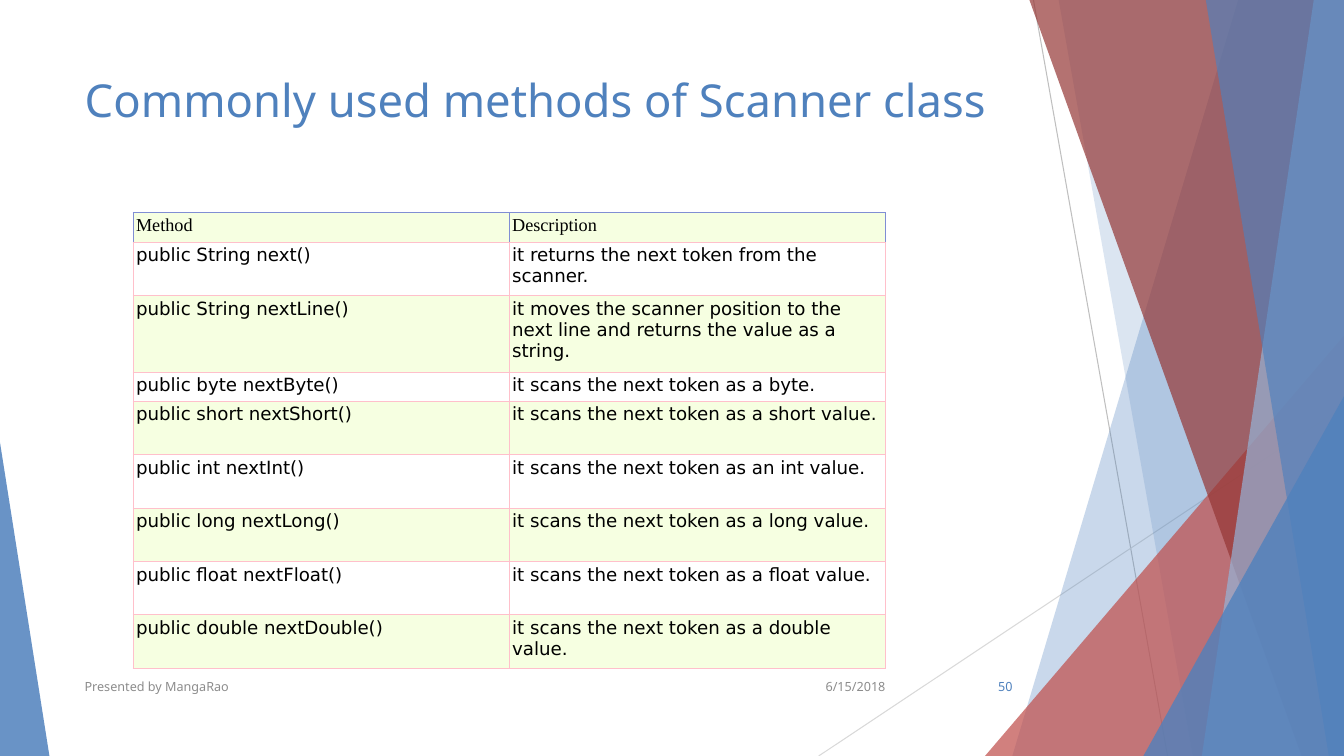
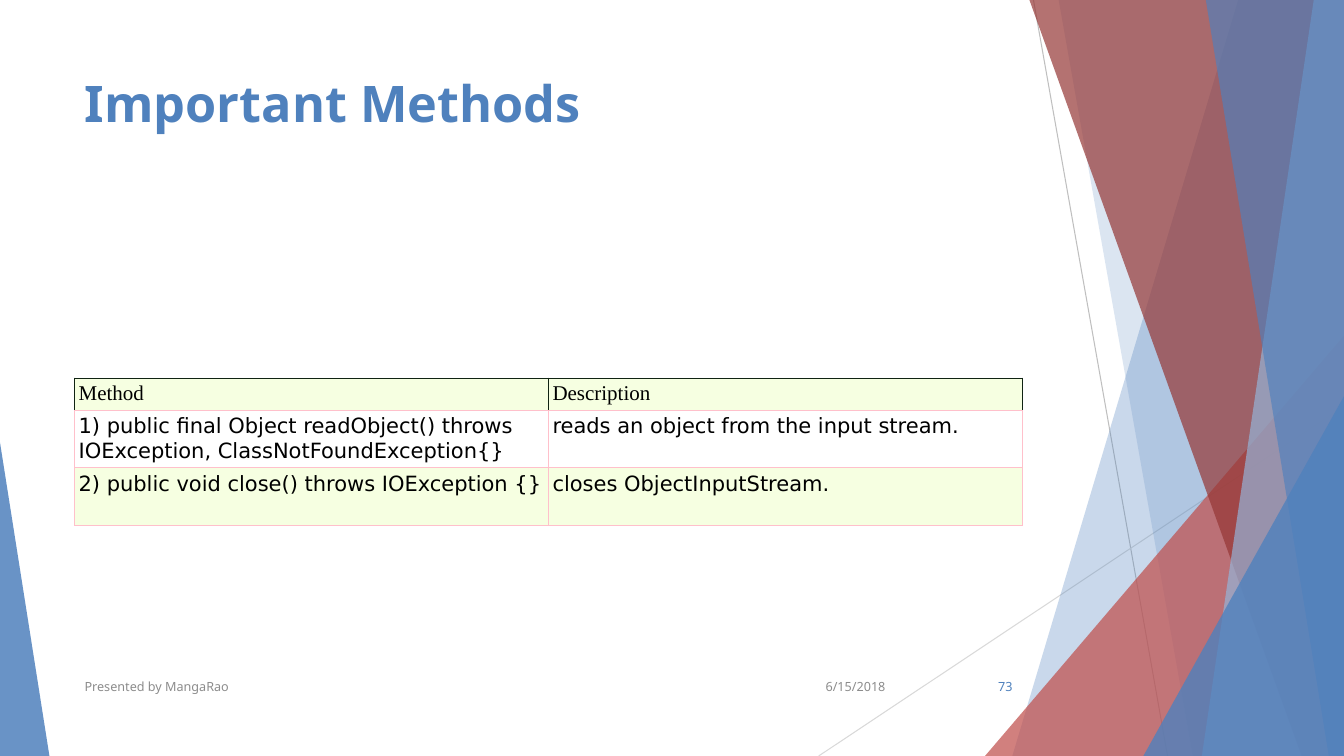
"""Build two slides of method tables on a shared ribbon master."""
from lxml.etree import SubElement as Sub
from pptx import Presentation
from pptx.dml.color import RGBColor as RGB
from pptx.enum.shapes import MSO_CONNECTOR as Link, MSO_SHAPE as Kind
from pptx.enum.text import MSO_ANCHOR as Anchor, MSO_AUTO_SIZE as Fit, PP_ALIGN as Align
from pptx.oxml.ns import qn
from pptx.util import Inches, Pt

WIDE, HIGH = 13.33, 7.5
BLUE = RGB(0x4F, 0x81, 0xBD)
PALE = RGB(0x95, 0xB3, 0xD7)
RED = RGB(0xC0, 0x50, 0x4D)
WINE = RGB(0x95, 0x37, 0x35)
GREY = RGB(0x8C, 0x8C, 0x8C)
SILVER = RGB(0xBF, 0xBF, 0xBF)
MIST = RGB(0xD9, 0xD9, 0xD9)
WHITE = RGB(0xFF, 0xFF, 0xFF)
BLACK = RGB(0, 0, 0)
LIME = RGB(0xF6, 0xFF, 0xE1)
PINK = RGB(0xFF, 0xC0, 0xCB)
IRIS = RGB(0x80, 0x8E, 0xD4)
PINE = RGB(0x10, 0x23, 0x13)
SANS, BODY, SERIF = "Noto Sans", "DejaVu Sans", "Times New Roman"

SCANNER = (
    ("Method", "Description"),
    ("public String next()", "it returns the next token from the scanner."),
    ("public String nextLine()",
     "it moves the scanner position to the next line and returns the value as a string."),
    ("public byte nextByte()", "it scans the next token as a byte."),
    ("public short nextShort()", "it scans the next token as a short value."),
    ("public int nextInt()", "it scans the next token as an int value."),
    ("public long nextLong()", "it scans the next token as a long value."),
    ("public float nextFloat()", "it scans the next token as a float value."),
    ("public double nextDouble()", "it scans the next token as a double value."),
)
STREAM = (
    ("Method", "Description"),
    ("1) public final Object readObject() throws IOException, ClassNotFoundException{}",
     "reads an object from the input stream."),
    ("2) public void close() throws IOException {}", "closes ObjectInputStream."),
)


def put(item, **values):
    """Set each named value on the item."""
    for name, value in values.items():
        setattr(item, name, value)


def write(frame, text, color, align=Align.LEFT, **look):
    """Fill a text frame with one styled run."""
    para = frame.paragraphs[0]
    para.alignment = align
    run = para.add_run()
    run.text = text
    put(run.font, **look)
    run.font.color.rgb = color


def paint(shape, color, alpha):
    """Give a shape a see-through fill and no line."""
    shape.shadow.inherit = False
    shape.fill.solid()
    shape.fill.fore_color.rgb = color
    shape.line.fill.background()
    tint = shape.element.xpath("./p:spPr/a:solidFill/a:srgbClr")[0]
    Sub(tint, qn("a:alpha"), val=str(alpha * 1000))


def ray(shapes, start, end, color):
    """Draw a thin straight line."""
    line = shapes.add_connector(Link.STRAIGHT, *map(Inches, start + end))
    line.line.color.rgb = color
    line.line.width = Pt(0.75)
    Sub(line.element.spPr, qn("a:effectLst"))


def band(shapes, top, base, color, alpha):
    """Draw a full-height ribbon from a slanted edge to the right side."""
    edge = [(WIDE, 0), (WIDE, HIGH), (base, HIGH)]
    pen = shapes.build_freeform(Inches(top), 0)
    pen.add_line_segments([(Inches(x), Inches(y)) for x, y in edge])
    paint(pen.convert_to_shape(), color, alpha)


def wedge(shapes, left, top, width, tip, color, alpha):
    """Draw a right triangle standing on the slide's lower edge."""
    box = map(Inches, (left, top, width, HIGH - top))
    shape = shapes.add_shape(Kind.ISOSCELES_TRIANGLE, *box)
    shape.adjustments[0] = tip
    paint(shape, color, alpha)


def adorn(slide, master):
    """Draw the ribbons and hand them to the master."""
    group = slide.shapes.add_group_shape()
    shapes = group.shapes
    ray(shapes, (10.25, 0), (11.58, HIGH), SILVER)
    ray(shapes, (WIDE, 4.03), (8.12, HIGH), MIST)
    for draw, *args in (
        (band, 12.28, 10.04, BLUE, 30),
        (band, 10.5, 11.83, BLUE, 20),
        (wedge, 9.77, 3.33, 3.56, 1, RED, 72),
        (band, 10.21, 12.91, WINE, 70),
        (band, 13.03, 11.92, PALE, 70),
        (band, 11.96, 13.18, BLUE, 65),
        (wedge, 11.34, 3.93, 1.99, 1, BLUE, 80),
        (wedge, 0, 4.39, 0.49, 0, BLUE, 85),
    ):
        draw(shapes, *args)
    for mark, node in enumerate(group.element.iter(qn("p:cNvPr")), 20):
        node.set("id", str(mark))
    master.shapes.element.insert(2, group.element)


def head(slide, text, size, bold=False):
    """Place and style the title."""
    title = slide.shapes.title
    put(title, left=Inches(0.74), top=Inches(0.67), width=Inches(9.4), height=Inches(1.44))
    put(title.text_frame, auto_size=Fit.NONE, word_wrap=True, vertical_anchor=Anchor.TOP)
    write(title.text_frame, text, BLUE, name=SANS, size=Pt(size), bold=bold)


def foot(slide, number):
    """Add the date, presenter and slide number."""
    for left, width, text, color, align in (
        (7.88, 1, "6/15/2018", GREY, Align.RIGHT),
        (0.74, 6.89, "Presented by MangaRao", GREY, Align.LEFT),
        (9.39, 0.75, str(number), BLUE, Align.RIGHT),
    ):
        box = slide.shapes.add_textbox(*map(Inches, (left, 6.61, width, 0.4)))
        put(box.text_frame, word_wrap=True, vertical_anchor=Anchor.MIDDLE)
        write(box.text_frame, text, color, align, name=SANS, size=Pt(9))


def rule(cell, colors):
    """Draw cell borders in left, right, top, bottom order."""
    props = cell._tc.get_or_add_tcPr()
    for side, color in zip("LRTB", colors):
        line = Sub(props, qn("a:ln" + side), w=str(Pt(0.6)))
        fill = Sub(line, qn("a:solidFill"))
        Sub(fill, qn("a:srgbClr"), val=str(color))


def grid(slide, rows, left, top, width, tall, size, inset, trim):
    """Add a two-column striped method table."""
    box = map(Inches, (left, top, width, sum(tall)))
    table = slide.shapes.add_table(len(rows), 2, *box).table
    put(table, first_row=False, horz_banding=False)
    for col in table.columns:
        col.width = Inches(width / 2)
    sides = ("left", "right", "top", "bottom")
    pads = {"margin_" + side: Inches(inset) for side in sides}
    for r, texts in enumerate(rows):
        table.rows[r].height = Inches(tall[r])
        for c, text in enumerate(texts):
            cell = table.cell(r, c)
            put(cell, **pads)
            rule(cell, [PINK if r else trim] * 3 + [PINK])
            cell.fill.solid()
            cell.fill.fore_color.rgb = WHITE if r % 2 else LIME
            write(cell.text_frame, text, BLACK, name=BODY if r else SERIF, size=Pt(size))


def main():
    """Build and save the deck."""
    deck = Presentation()
    put(deck, slide_width=Inches(WIDE), slide_height=Inches(HIGH))
    plain = deck.slide_layouts[5]

    slide = deck.slides.add_slide(plain)
    adorn(slide, deck.slide_master)
    head(slide, "Commonly used methods of Scanner class", 32.4)
    tall = [0.29, 0.53, 0.76, 0.29] + [0.53] * 5
    grid(slide, SCANNER, 1.32, 2.11, 7.46, tall, 13, 0.03, IRIS)
    foot(slide, 50)

    slide = deck.slides.add_slide(plain)
    head(slide, "Important Methods", 36, True)
    grid(slide, STREAM, 0.74, 3.75, 9.4, [0.32, 0.57, 0.57], 15, 0.04, PINE)
    foot(slide, 73)

    deck.save("out.pptx")


main()
